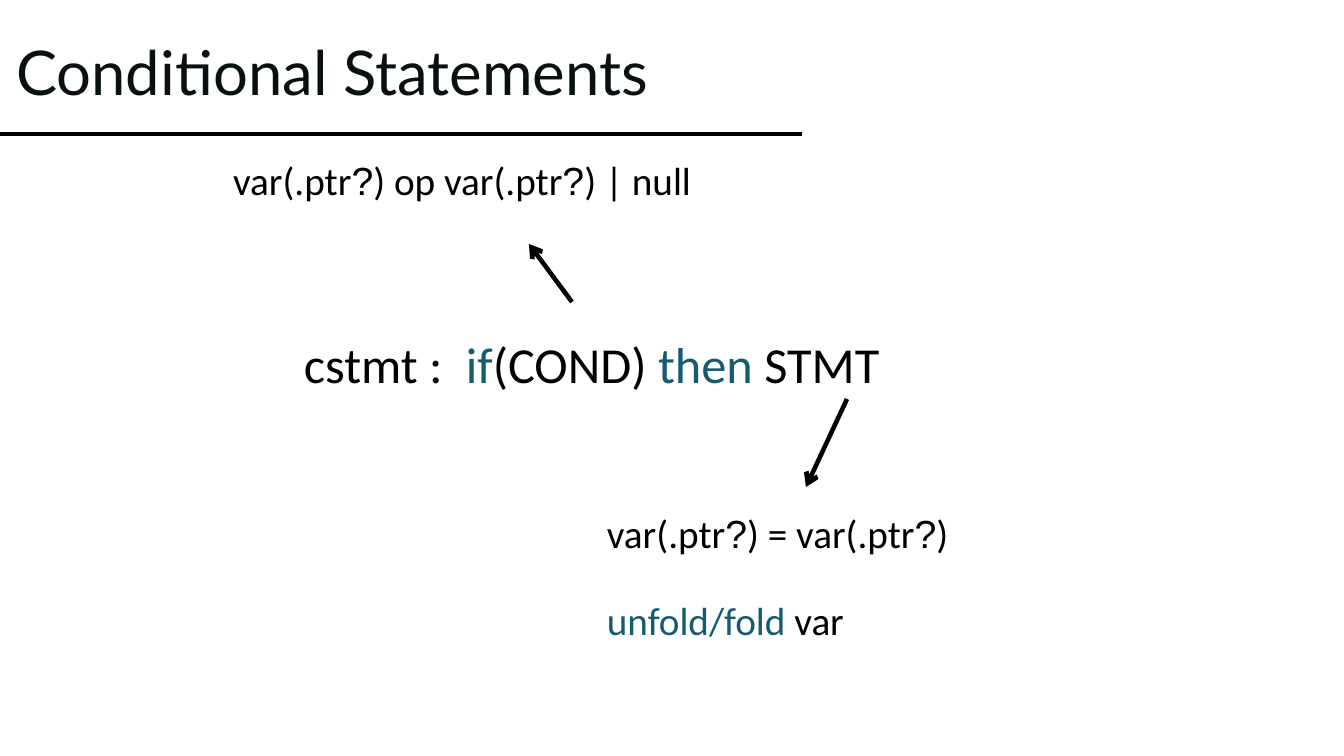
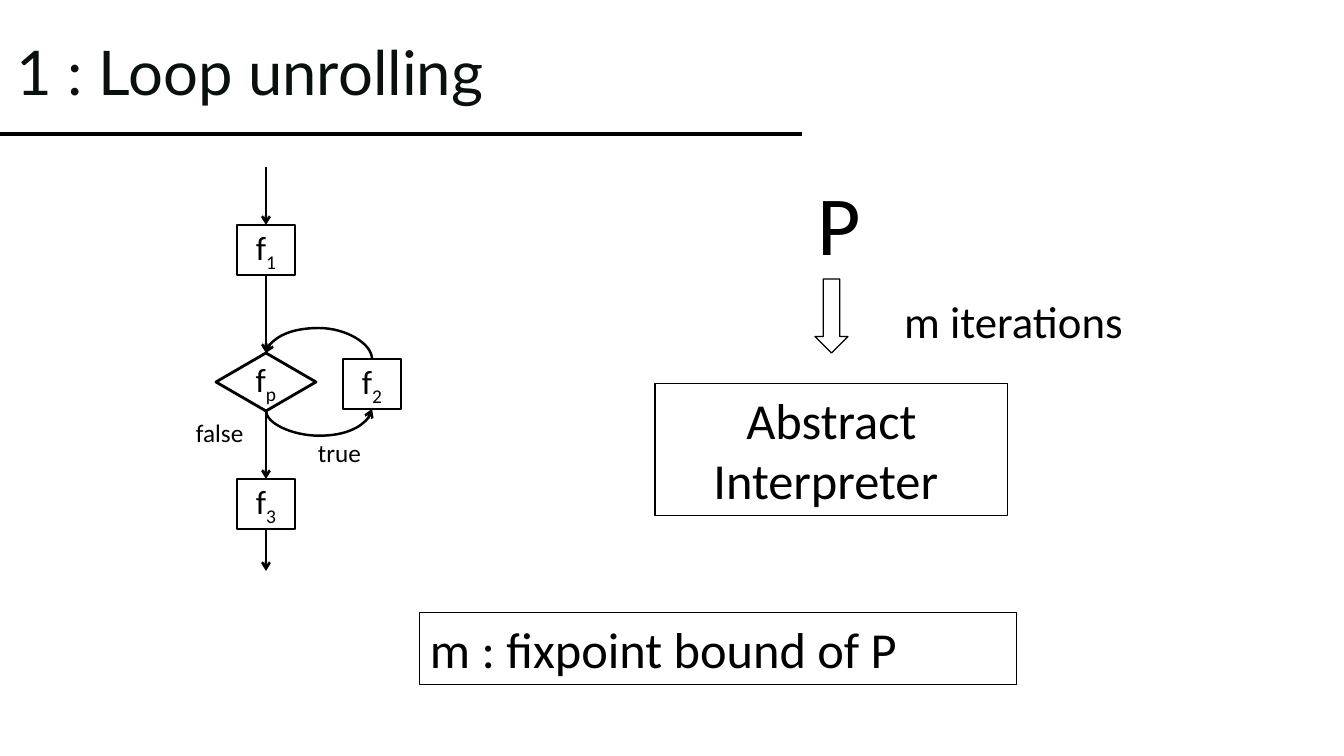
from lxml import etree
from pptx import Presentation
from pptx.dml.color import RGBColor
from pptx.enum.shapes import MSO_CONNECTOR as LINK, MSO_SHAPE as FORM
from pptx.enum.text import MSO_ANCHOR as ANCHOR, MSO_AUTO_SIZE as FIT, PP_ALIGN as ALIGN
from pptx.oxml.ns import qn
from pptx.util import Pt

PX = 914400 / 100.8
BLACK = RGBColor(0x00, 0x00, 0x00)
TEAL = RGBColor(0x17, 0x5B, 0x73)
INK = RGBColor(0x08, 0x11, 0x0B)
BODY, HEAD, MARK = "Calibri", "Lato", "Arial"


def px(*sides):
    return [round(side * PX) for side in sides]


def write(para, size, *runs, align=ALIGN.LEFT):
    """Add runs, each a text or a (text, style) pair of colour, font or "sub"."""
    para.alignment = align
    for item in runs:
        text, style = (item, None) if isinstance(item, str) else item
        run = para.add_run()
        run.text = text
        font = run.font
        font.size = Pt(size)
        font.name = style if style in (HEAD, MARK) else BODY
        font.color.rgb = style if style == TEAL else INK if style == HEAD else BLACK
        if style == "sub":
            run._r.get_or_add_rPr().set("baseline", "-25000")


deck = Presentation()
deck.slide_width, deck.slide_height = px(1344, 756)
links = []

# Shared layout: title place and rule
plan = deck.slide_layouts[5]
spot = plan.placeholders[0]
spot.left, spot.top, spot.width, spot.height = px(6, 3, 757, 146)

slides = []
for name in ["Conditional Statements", "1 : Loop unrolling"]:
    slide = deck.slides.add_slide(plan)
    frame = slide.shapes.title.text_frame
    frame.auto_size = FIT.NONE
    frame.vertical_anchor = ANCHOR.MIDDLE
    write(frame.paragraphs[0], 44, (name, HEAD))
    frame.paragraphs[0].line_spacing = 0.9
    slides.append(slide)
first, second = slides

rule = first.shapes.add_connector(LINK.STRAIGHT, *px(0, 134, 802, 134))
plan.shapes._spTree.append(rule._element)
links.append((rule, 2.25, False))

# Text boxes of both slides: slide, place, size, alignment, border, runs
ptr, ask = "var(.ptr", ("?", MARK)
notes = [
    (first, (294, 328, 764, 72), 36, ALIGN.LEFT, False,
     ["cstmt :\t", ("if", TEAL), "(COND) ", ("then", TEAL), " STMT"]),
    (first, (176, 151, 581, 89), 28, ALIGN.CENTER, False,
     [ptr, ask, ") op " + ptr, ask, ") | null "]),
    (first, (597, 504, 505, 146), 28, ALIGN.LEFT, False,
     [ptr, ask, ") = " + ptr, ask, ")"]),
    (second, (655, 384, 353, 132), 36, ALIGN.CENTER, True, ["Abstract Interpreter "]),
    (second, (663, 167, 353, 112), 60, ALIGN.CENTER, False, ["P"]),
    (second, (837, 289, 353, 64), 32, ALIGN.CENTER, False, ["m iterations"]),
    (second, (420, 613, 597, 72), 36, ALIGN.LEFT, True, ["m : fixpoint bound of P"]),
]
frames = []
for slide, place, size, align, edge, runs in notes:
    box = slide.shapes.add_textbox(*px(*place))
    box.text_frame.word_wrap = True
    write(box.text_frame.paragraphs[0], size, *runs, align=align)
    if edge:
        box.line.color.rgb = BLACK
        box.line.width = Pt(0.75)
    frames.append(box.text_frame)

tabs = etree.SubElement(frames[0].paragraphs[0]._p.get_or_add_pPr(), qn("a:tabLst"))
etree.SubElement(tabs, qn("a:tab"), pos=str(px(162)[0]), algn="l")

fold = frames[2].add_paragraph()
fold.space_before = Pt(29)
write(fold, 28, ("unfold/fold ", TEAL), "var")

# Slide 1: arrows
for ends in [(572, 302, 529, 244), (847, 399, 806, 487)]:
    arrow = first.shapes.add_connector(LINK.STRAIGHT, *px(*ends))
    links.append((arrow, 3.25, True))

# Slide 2: flow chart
flow = second.shapes.add_group_shape().shapes
nodes = {}
for mark, form, place in [
    ("1", FORM.RECTANGLE, (237, 225, 58, 50)),
    ("2", FORM.RECTANGLE, (343, 359, 58, 50)),
    ("3", FORM.RECTANGLE, (237, 479, 58, 50)),
    ("p", FORM.DIAMOND, (216, 353, 100, 58)),
]:
    node = flow.add_shape(form, *px(*place))
    node.shadow.inherit = False
    node.fill.background()
    node.line.color.rgb = BLACK
    node.line.width = Pt(2)
    node.text_frame.vertical_anchor = ANCHOR.MIDDLE
    write(node.text_frame.paragraphs[0], 24, "f", (mark, "sub"), align=ALIGN.CENTER)
    nodes[mark] = node

TOP, BASE = 0, 2
for start, end, ends in [
    (None, "1", (266, 167, 266, 225)),
    ("1", "p", (266, 275, 266, 353)),
    ("p", "3", (266, 411, 266, 479)),
    ("3", None, (266, 529, 266, 571)),
]:
    step = flow.add_connector(LINK.STRAIGHT, *px(*ends))
    if start:
        step.begin_connect(nodes[start], BASE)
    if end:
        step.end_connect(nodes[end], TOP)
    links.append((step, 1.75, True))

for start, end, side, place, turn, flip, reach in [
    ("2", "p", TOP, (316, 303, 6, 106), 270, "0", 31),
    ("p", "2", BASE, (318, 357, 2, 106), 90, "1", -25),
]:
    left, top, wide, high = place
    curve = flow.add_connector(LINK.CURVE, *px(left, top, left + wide, top + high))
    curve.begin_connect(nodes[start], side)
    curve.end_connect(nodes[end], side)
    curve.left, curve.top, curve.width, curve.height = px(*place)
    props = curve._element.spPr
    frame = props.find(qn("a:xfrm"))
    for key, value in [("rot", str(turn * 60000)), ("flipH", flip), ("flipV", "1")]:
        frame.set(key, value)
    bend = props.find(qn("a:prstGeom")).find(qn("a:avLst"))
    etree.SubElement(bend, qn("a:gd"), name="adj1", fmla=f"val {round(reach / wide * 100000)}")
    links.append((curve, 1.75, True))

for word, left, top in [("true", 308, 432), ("false", 186, 412)]:
    label = flow.add_textbox(*px(left, top, 101, 40))
    label.text_frame.word_wrap = True
    write(label.text_frame.paragraphs[0], 18, word)

down = second.shapes.add_shape(FORM.DOWN_ARROW, *px(815, 279, 33, 74))
down.shadow.inherit = False
down.fill.background()
down.line.color.rgb = BLACK
down.line.width = Pt(0.85)

# Line style of every connector
for link, width, tip in links:
    link.line.color.rgb = BLACK
    link.line.width = Pt(width)
    props = link._element.spPr
    if tip:
        etree.SubElement(props.find(qn("a:ln")), qn("a:tailEnd"), type="arrow")
    etree.SubElement(props, qn("a:effectLst"))

deck.save("out.pptx")
